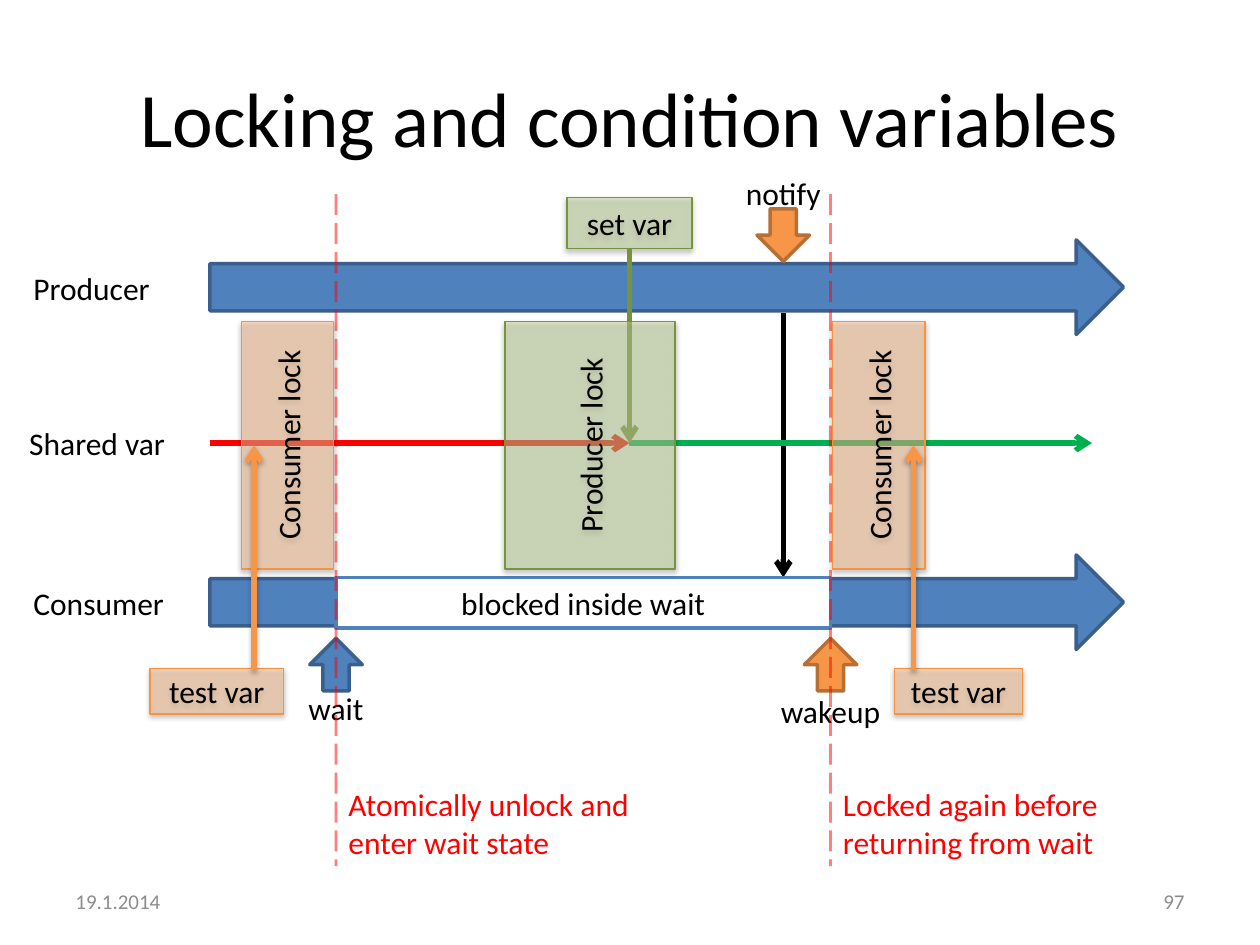
from lxml.etree import SubElement
from pptx import Presentation
from pptx.dml.color import RGBColor
from pptx.enum.dml import MSO_LINE
from pptx.enum.shapes import MSO_CONNECTOR, MSO_SHAPE
from pptx.enum.text import MSO_ANCHOR, MSO_AUTO_SIZE, PP_ALIGN
from pptx.oxml.ns import qn
from pptx.util import Inches, Pt

COLS, ROWS = 120, 90
BLUE, DARK_BLUE = "4F81BD", "3A5F8C"
ORANGE, DARK_ORANGE = "F79646", "B76F34"
PEACH, PEACH_EDGE = "FAC090", "F69240"
OLIVE, OLIVE_EDGE = "C3D69B", "77933C"
RED, GREEN, BLACK, WHITE, GREY = "FF0000", "00B050", "000000", "FFFFFF", "8C8C8C"


def rgb(color):
    """Turn a hex string into a colour."""
    return RGBColor.from_string(color)


def add_alpha(parent, percent):
    """Make the colour inside a fill element partly transparent."""
    clr = parent.find(".//" + qn("a:srgbClr"))
    SubElement(clr, qn("a:alpha"), val=str(percent * 1000))


def add_shadow(effects, percent, distance):
    """Add a soft black shadow that falls downwards."""
    shadow = SubElement(effects, qn("a:outerShdw"), blurRad=str(Pt(3.1)),
                        dist=str(Pt(distance)), dir="5400000", rotWithShape="0")
    SubElement(shadow, qn("a:srgbClr"), val=BLACK)
    add_alpha(shadow, percent)


class Diagram:
    """Hold the style and the slide, and draw elements on a grid."""

    def __init__(self, prs, font="Calibri", size=18):
        """Start a title-only slide."""
        self.font, self.size = font, size
        self.col, self.row = prs.slide_width / COLS, prs.slide_height / ROWS
        self.s = prs.slides.add_slide(prs.slide_layouts[5])

    def box(self, x, y, w, h):
        """Convert a grid box to slide lengths."""
        return int(x * self.col), int(y * self.row), int(w * self.col), int(h * self.row)

    def set_text(self, sp, text, color=BLACK, align=PP_ALIGN.CENTER, size=None):
        """Put formatted text into a shape."""
        tf = sp.text_frame
        tf.text = text
        tf.word_wrap = True
        p = tf.paragraphs[0]
        p.alignment = align
        font = p.runs[0].font
        font.name, font.size = self.font, Pt(size or self.size)
        font.color.rgb = rgb(color)

    def title(self, text, *box):
        """Place and format the title."""
        sp = self.s.shapes.title
        sp.left, sp.top, sp.width, sp.height = self.box(*box)
        self.set_text(sp, text, size=44)
        sp.text_frame.vertical_anchor = MSO_ANCHOR.MIDDLE

    def label(self, text, *box, color=BLACK, align=PP_ALIGN.LEFT):
        """Add free text that grows with its content."""
        sp = self.s.shapes.add_textbox(*self.box(*box))
        self.set_text(sp, text, color, align)
        sp.text_frame.auto_size = MSO_AUTO_SIZE.SHAPE_TO_FIT_TEXT

    def footer(self, text, x, align):
        """Add small grey text at the bottom."""
        sp = self.s.shapes.add_textbox(*self.box(x, 83.4, 28, 4.8))
        self.set_text(sp, text, GREY, align, 12)
        sp.text_frame.vertical_anchor = MSO_ANCHOR.MIDDLE

    def shape(self, kind, box, fill, edge, width=2, text="", rotation=0):
        """Add a filled and outlined preset shape."""
        sp = self.s.shapes.add_shape(kind, *self.box(*box))
        sp.rotation = rotation
        sp.fill.solid()
        sp.fill.fore_color.rgb = rgb(fill)
        sp.line.color.rgb = rgb(edge)
        sp.line.width = Pt(width)
        sp.shadow.inherit = False
        if text:
            self.set_text(sp, text)
            sp.text_frame.vertical_anchor = MSO_ANCHOR.MIDDLE
        return sp

    def glass(self, text, box, fill, edge, rotation=0):
        """Add a half transparent box with a shadow."""
        sp = self.shape(MSO_SHAPE.RECTANGLE, box, fill, edge, 0.75, text, rotation)
        spPr = sp._element.spPr
        add_alpha(spPr.find(qn("a:solidFill")), 50)
        add_shadow(spPr.find(qn("a:effectLst")), 38, 1.6)
        return sp

    def lock(self, text, center, thickness, fill, edge):
        """Add a lock box whose text reads upwards."""
        length = 23.6
        box = (center - length / 2, 42.4 - thickness / 2, length, thickness)
        self.glass(text, box, fill, edge, 270)

    def line(self, x1, y1, x2, y2, color, width=3, arrow=True, shadow=False):
        """Add a straight line, with an arrowhead or dashed."""
        ends = self.box(x1, y1, x2, y2)
        sp = self.s.shapes.add_connector(MSO_CONNECTOR.STRAIGHT, *ends)
        sp.line.color.rgb = rgb(color)
        sp.line.width = Pt(width)
        spPr = sp._element.spPr
        ln = spPr.find(qn("a:ln"))
        if arrow:
            SubElement(ln, qn("a:tailEnd"), type="arrow")
        else:
            sp.line.dash_style = MSO_LINE.LONG_DASH
            add_alpha(ln, 50)
        effects = SubElement(spPr, qn("a:effectLst"))
        if shadow:
            add_shadow(effects, 35, 1.8)
        return sp


def main():
    """Build the slide."""
    prs = Presentation()
    prs.slide_width, prs.slide_height = Inches(10), Inches(7.5)
    d = Diagram(prs)
    wait_x, set_x, notify_x, wake_x = 32, 59.95, 74.6, 79.1
    lane_y, var_y, test_y = 55, 42.2, 63.7

    d.title("Locking and condition variables", 6, 3.6, 108, 15)
    d.line(notify_x, 29.8, notify_x, lane_y, BLACK)
    for name, y in (("Producer", 25), ("Consumer", lane_y)):
        d.shape(MSO_SHAPE.RIGHT_ARROW, (20, y - 2.15, 87, 9), BLUE, DARK_BLUE)
        d.label(name, 2, y, 15, 4.8)
    d.shape(MSO_SHAPE.RECTANGLE, (wait_x, lane_y, wake_x - wait_x, 4.8),
            WHITE, BLUE, text="blocked inside wait")

    for name, x, y, text_y, turn, fill, edge in (
            ("wait", wait_x, 60.8, 65, 180, BLUE, DARK_BLUE),
            ("wakeup", wake_x, 60.8, 65.3, 180, ORANGE, DARK_ORANGE),
            ("notify", notify_x, 19.9, 16, 0, ORANGE, DARK_ORANGE)):
        d.shape(MSO_SHAPE.DOWN_ARROW, (x - 2.5, y, 5, 5), fill, edge, rotation=turn)
        d.label(name, x - 6.25, text_y, 12.5, 4.8, align=PP_ALIGN.CENTER)

    d.label("Shared var", 1.6, 39.8, 25.3, 4.8)
    d.line(20, var_y, set_x, var_y, RED)
    d.line(set_x, var_y, 104, var_y, GREEN)
    setter = d.glass("set var", (54, 18.8, 11.9, 4.9), OLIVE, OLIVE_EDGE)
    d.line(set_x, 23.7, set_x, var_y, OLIVE_EDGE).begin_connect(setter, 2)

    for x in (27.4, 83.7):
        d.lock("Consumer lock", x, 8.8, PEACH, PEACH_EDGE)
    for x, width, arrow_x in ((14.3, 12.7, 24.2), (85.2, 12.2, 87)):
        d.glass("test var", (x, test_y, width, 4.3), PEACH, PEACH_EDGE)
        d.line(arrow_x, test_y, arrow_x, var_y + 0.2, ORANGE, shadow=True)
    d.lock("Producer lock", 56.2, 16.2, OLIVE, OLIVE_EDGE)

    for x, note in ((wait_x, "Atomically unlock and enter wait state"),
                    (wake_x, "Locked again before returning from wait")):
        d.line(x, 18.5, x, 82.5, RED, 1.5, arrow=False)
        d.label(note, x, 74.2, 32.3, 8.5, color=RED)

    d.footer("19.1.2014", 6, PP_ALIGN.LEFT)
    d.footer("97", 86, PP_ALIGN.RIGHT)
    prs.save("out.pptx")


if __name__ == "__main__":
    main()
